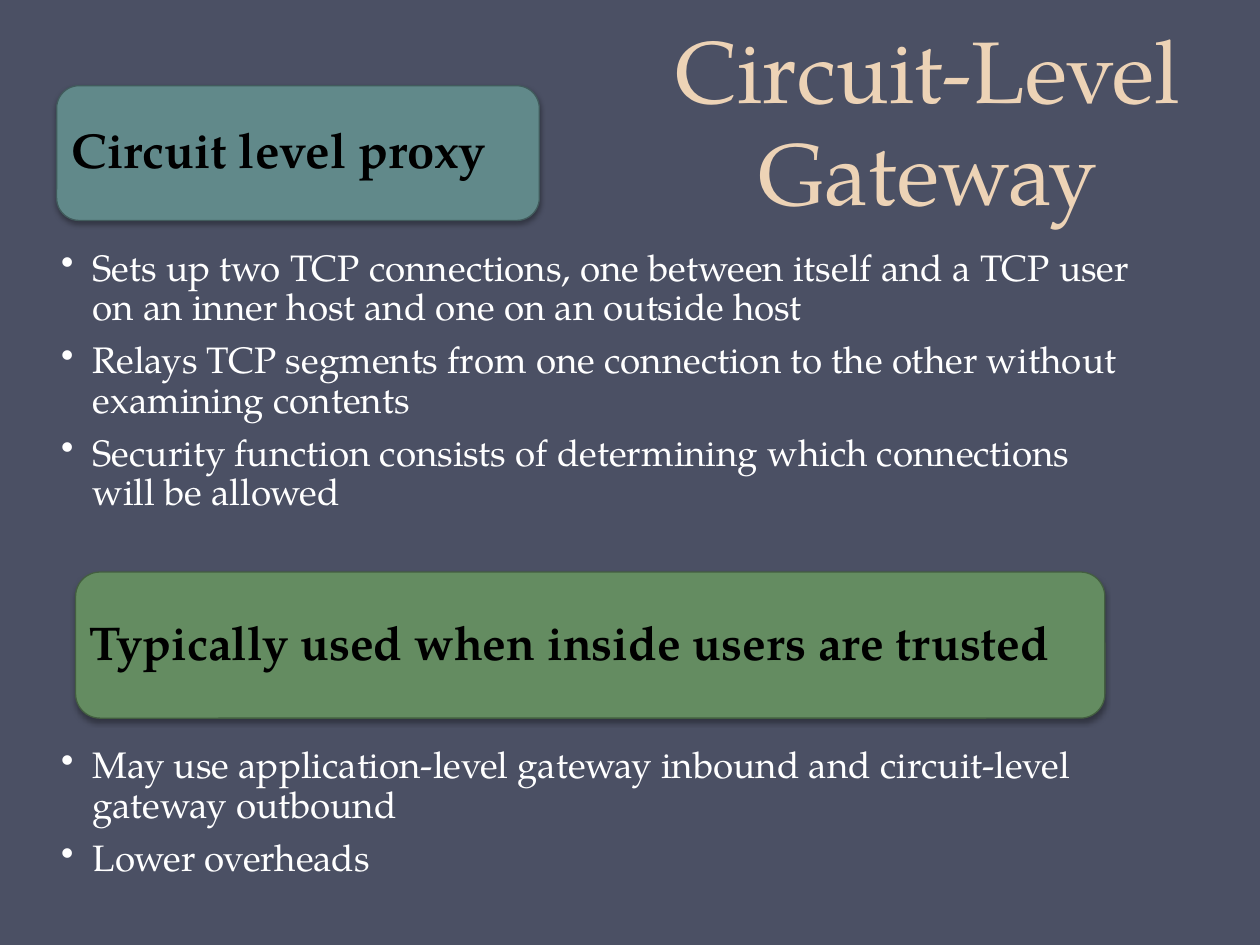
from lxml import etree
from pptx import Presentation
from pptx.dml.color import RGBColor
from pptx.enum import shapes, text
from pptx.oxml import ns
from pptx.util import Pt

FONT = "TeX Gyre Pagella"
SHADOW = (
    f'<a:effectLst {ns.nsdecls("a")}>'
    f'<a:outerShdw blurRad="{Pt(3.1)}" dist="{Pt(1.8)}" dir="5400000" rotWithShape="0">'
    '<a:srgbClr val="000000"><a:alpha val="35000"/></a:srgbClr>'
    '</a:outerShdw></a:effectLst>'
)


def rgb(value):
    return RGBColor.from_string(value)


def set_text(frame, lines, size, color, insets, anchor, bold=False):
    """Fill a frame with one paragraph per line; insets run left, top, right, bottom."""
    frame.word_wrap = True
    frame.vertical_anchor = anchor
    (frame.margin_left, frame.margin_top,
     frame.margin_right, frame.margin_bottom) = [Pt(inset) for inset in insets]
    frame.text = "\n".join(lines)
    for paragraph in frame.paragraphs:
        paragraph.alignment = text.PP_ALIGN.LEFT
        paragraph.line_spacing = 0.9
        for run in paragraph.runs:
            run.font.name = FONT
            run.font.size = Pt(size)
            run.font.bold = bold
            run.font.color.rgb = rgb(color)


prs = Presentation()
prs.slide_width, prs.slide_height = Pt(720), Pt(540)
slide = prs.slides.add_slide(prs.slide_layouts[6])
slide.background.fill.solid()
slide.background.fill.fore_color.rgb = rgb("4B5064")

title = slide.shapes.add_textbox(Pt(339.1), Pt(-32.4), Pt(382.3), Pt(163.4)).text_frame
set_text(title, ["Circuit-Level Gateway"], 50, "EDD3B6", (7.2, 3.6, 7.2, 3.6),
         text.MSO_ANCHOR.BOTTOM)
title.paragraphs[0].alignment = text.PP_ALIGN.CENTER
title.paragraphs[0].line_spacing = Pt(58)

# heading, size, inset, left, top, width, height, fill, border, points top, points height, points
sections = [
    ("Circuit level proxy", 28, 4.9, 32.4, 49, 275.8, 77, "61898A", "415B5C", 139.7, 211.7, [
        "Sets up two TCP connections, one between itself and a TCP user on an inner host "
        "and one on an outside host",
        "Relays TCP segments from one connection to the other without examining contents",
        "Security function consists of determining which connections will be allowed",
    ]),
    ("Typically used when inside users are trusted", 27, 3.8, 43.2, 326.9, 588.2, 83.5,
     "648C61", "435E40", 424.1, 107.3, [
         "May use application-level gateway inbound and circuit-level gateway outbound",
         "Lower overheads",
     ]),
]

for (heading, size, inset, left, top, width, height, fill, border,
     points_top, points_height, points) in sections:
    banner = slide.shapes.add_shape(shapes.MSO_SHAPE.ROUNDED_RECTANGLE,
                                    Pt(left), Pt(top), Pt(width), Pt(height))
    banner.fill.solid()
    banner.fill.fore_color.rgb = rgb(fill)
    banner.line.color.rgb = rgb(border)
    banner.line.width = Pt(0.75)
    banner._element.spPr.append(etree.fromstring(SHADOW))
    set_text(banner.text_frame, [heading], size, "000000", [inset] * 4,
             text.MSO_ANCHOR.MIDDLE, bold=True)

    details = slide.shapes.add_textbox(Pt(14.4), Pt(points_top), Pt(648), Pt(points_height))
    set_text(details.text_frame, points, 21, "FFFFFF", (20.6, 2.9, 15.1, 2.9),
             text.MSO_ANCHOR.TOP)
    for paragraph in details.text_frame.paragraphs:
        paragraph.level = 1
        paragraph.space_after = Pt(7.5)
        properties = paragraph._p.get_or_add_pPr()
        properties.set("marL", str(Pt(18)))
        properties.set("indent", str(-Pt(18)))
        etree.SubElement(properties, ns.qn("a:buChar"), char="•")

prs.save("out.pptx")
